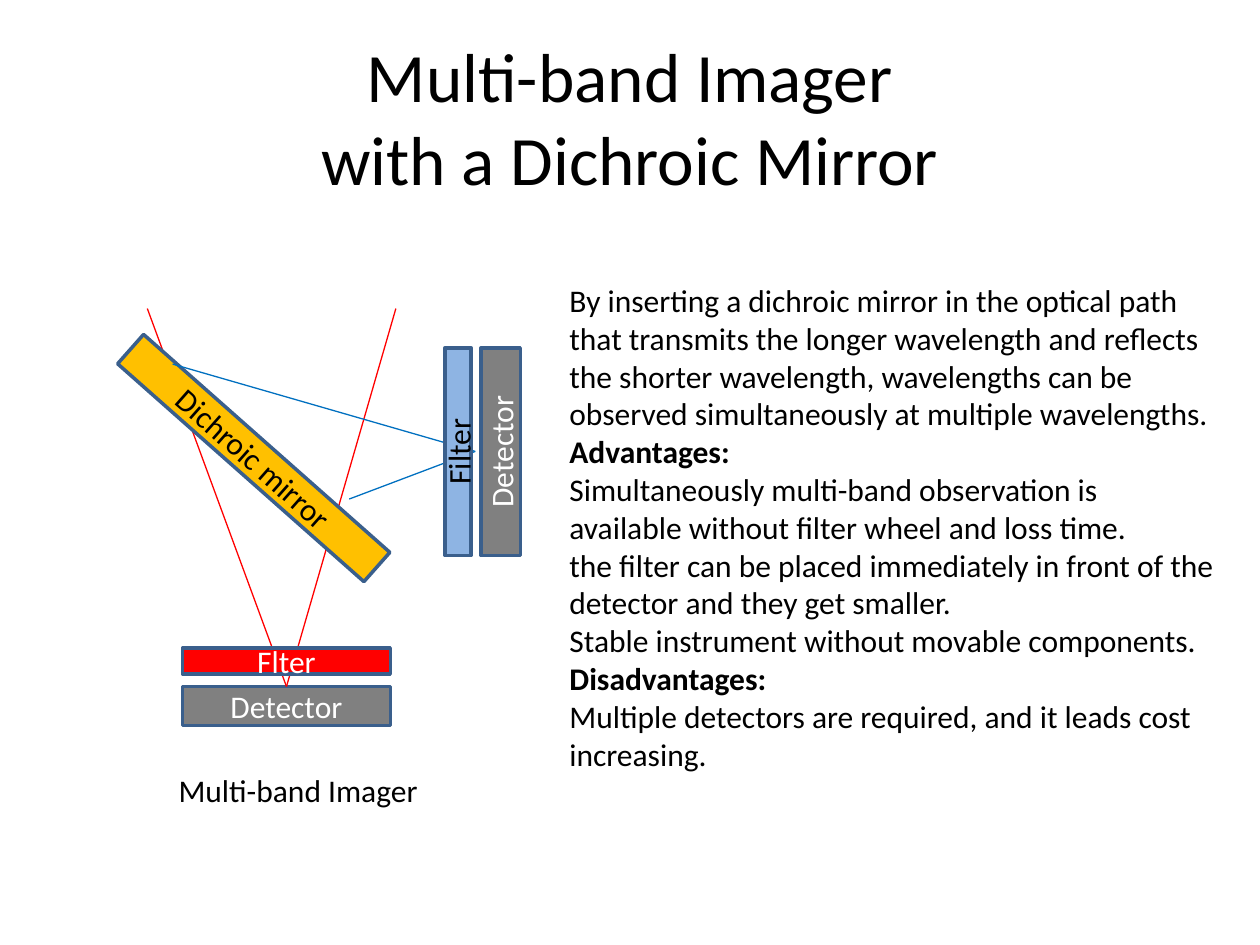
"""Build the slide on a multi-band imager with a dichroic mirror."""
from dataclasses import dataclass

import pptx
import pptx.dml.color
import pptx.enum.shapes
import pptx.enum.text
import pptx.oxml.ns
import pptx.util
from lxml import etree

Cm = pptx.util.Cm
ALIGN = pptx.enum.text.PP_ALIGN
ANCHOR = pptx.enum.text.MSO_ANCHOR
AUTOSIZE = pptx.enum.text.MSO_AUTO_SIZE


@dataclass(frozen=True)
class Theme:
    font: str = "Calibri"
    title_size: float = 39.6
    text_size: float = 18
    ray_width: float = 0.75
    outline_width: float = 2
    black: str = "000000"
    white: str = "FFFFFF"
    outline: str = "3A5F8C"
    mirror: str = "FFC000"
    detector: str = "808080"
    long_wave: str = "FF0000"
    short_wave: str = "0070C0"
    short_filter: str = "8EB4E3"


@dataclass(frozen=True)
class Part:
    label: str
    left: float
    top: float
    width: float
    height: float
    fill: str
    ink: str
    rotation: float = 0


@dataclass(frozen=True)
class Ray:
    start: tuple[float, float]
    end: tuple[float, float]
    colour: str


THEME = Theme()
PLATE_WIDTH, DETECTOR_HEIGHT, FILTER_HEIGHT = 4.19, 0.79, 0.53
PLATE_LEFT, DETECTOR_TOP = 3.68, 13.84
FOCUS = (PLATE_LEFT + PLATE_WIDTH / 2, DETECTOR_TOP)

LOWER_DETECTOR = Part("Detector", PLATE_LEFT, DETECTOR_TOP, PLATE_WIDTH,
                      DETECTOR_HEIGHT, THEME.detector, THEME.white)
MIRROR = Part("Dichroic mirror", 1.8, 8.84, 6.63, DETECTOR_HEIGHT,
              THEME.mirror, THEME.black, 41.5)
PLATES = (
    Part("Detector", 8, 8.71, PLATE_WIDTH, DETECTOR_HEIGHT,
         THEME.detector, THEME.white, 270),
    Part("Flter", PLATE_LEFT, 13.06, PLATE_WIDTH, FILTER_HEIGHT,
         THEME.long_wave, THEME.white),
    Part("Filter", 7.14, 8.84, PLATE_WIDTH, FILTER_HEIGHT,
         THEME.short_filter, THEME.black, 270),
)
TRANSMITTED = (
    Ray((2.97, 6.22), FOCUS, THEME.long_wave),
    Ray((7.98, 6.22), FOCUS, THEME.long_wave),
)
REFLECTED = (
    Ray((7.04, 10.06), (9.58, 9.1), THEME.short_wave),
    Ray((3.48, 7.34), (9.58, 9.1), THEME.short_wave),
)
BODY = (
    ("By inserting a dichroic mirror in the optical path that transmits the "
     "longer wavelength and reflects the shorter wavelength, wavelengths can "
     "be observed simultaneously at multiple wavelengths.", False),
    ("Advantages:", True),
    ("Simultaneously multi-band observation is available without filter wheel "
     "and loss time.", False),
    ("the filter can be placed immediately in front of the detector and they "
     "get smaller.", False),
    ("Stable instrument without movable components.", False),
    ("Disadvantages:", True),
    ("Multiple detectors are required, and it leads cost increasing.", False),
)


def rgb(colour: str) -> pptx.dml.color.RGBColor:
    """Turn a hex string into a colour."""
    return pptx.dml.color.RGBColor.from_string(colour)


def add_span(para, text: str, colour: str = THEME.black,
             size: float = THEME.text_size, bold: bool = False) -> None:
    """Add one formatted run to a paragraph."""
    span = para.add_run()
    span.text = text
    span.font.name = THEME.font
    span.font.size = pptx.util.Pt(size)
    span.font.bold = bold
    span.font.color.rgb = rgb(colour)


def add_part(page, part: Part):
    """Draw a labelled optical component."""
    shape = page.shapes.add_shape(
        pptx.enum.shapes.MSO_SHAPE.RECTANGLE,
        Cm(part.left), Cm(part.top), Cm(part.width), Cm(part.height))
    shape.rotation = part.rotation
    shape.shadow.inherit = False
    shape.fill.solid()
    shape.fill.fore_color.rgb = rgb(part.fill)
    shape.line.color.rgb = rgb(THEME.outline)
    shape.line.width = pptx.util.Pt(THEME.outline_width)
    shape.text_frame.vertical_anchor = ANCHOR.MIDDLE
    para = shape.text_frame.paragraphs[0]
    para.alignment = ALIGN.CENTER
    add_span(para, part.label, part.ink)
    return shape


def add_ray(page, ray: Ray):
    """Draw a light ray as a straight connector."""
    line = page.shapes.add_connector(
        pptx.enum.shapes.MSO_CONNECTOR.STRAIGHT,
        *(Cm(value) for value in ray.start + ray.end))
    line.line.color.rgb = rgb(ray.colour)
    line.line.width = pptx.util.Pt(THEME.ray_width)
    properties = line._element.spPr
    etree.SubElement(properties, pptx.oxml.ns.qn("a:effectLst"))
    return line


def add_text(page, left: float, top: float, width: float, height: float,
             lines: tuple[tuple[str, bool], ...], wrap: bool) -> None:
    """Add a text box with one paragraph per line."""
    box = page.shapes.add_textbox(Cm(left), Cm(top), Cm(width), Cm(height))
    frame = box.text_frame
    frame.word_wrap = wrap
    frame.auto_size = AUTOSIZE.SHAPE_TO_FIT_TEXT
    for index, (text, bold) in enumerate(lines):
        para = frame.add_paragraph() if index else frame.paragraphs[0]
        add_span(para, text, bold=bold)


def set_title(page) -> None:
    """Place and fill the title."""
    title = page.shapes.title
    title.left, title.top = Cm(1.27), Cm(0.76)
    title.width, title.height = Cm(22.86), Cm(3.18)
    title.text_frame.auto_size = AUTOSIZE.NONE
    title.text_frame.vertical_anchor = ANCHOR.MIDDLE
    para = title.text_frame.paragraphs[0]
    para.alignment = ALIGN.CENTER
    add_span(para, "Multi-band Imager", size=THEME.title_size)
    para.add_line_break()
    add_span(para, "with a Dichroic Mirror", size=THEME.title_size)


def main() -> None:
    """Build and save the deck."""
    deck = pptx.Presentation()
    deck.slide_width, deck.slide_height = Cm(25.4), Cm(19.05)
    page = deck.slides.add_slide(deck.slide_layouts[5])
    set_title(page)
    detector = add_part(page, LOWER_DETECTOR)
    for ray in TRANSMITTED:
        add_ray(page, ray).end_connect(detector, 0)
    add_part(page, MIRROR)
    add_text(page, 3.35, 15.42, 5.38, 1.02, (("Multi-band Imager", False),), False)
    for ray in REFLECTED:
        add_ray(page, ray)
    for plate in PLATES:
        add_part(page, plate)
    add_text(page, 11.23, 5.54, 13.49, 10.26, BODY, True)
    deck.save("out.pptx")


if __name__ == "__main__":
    main()
